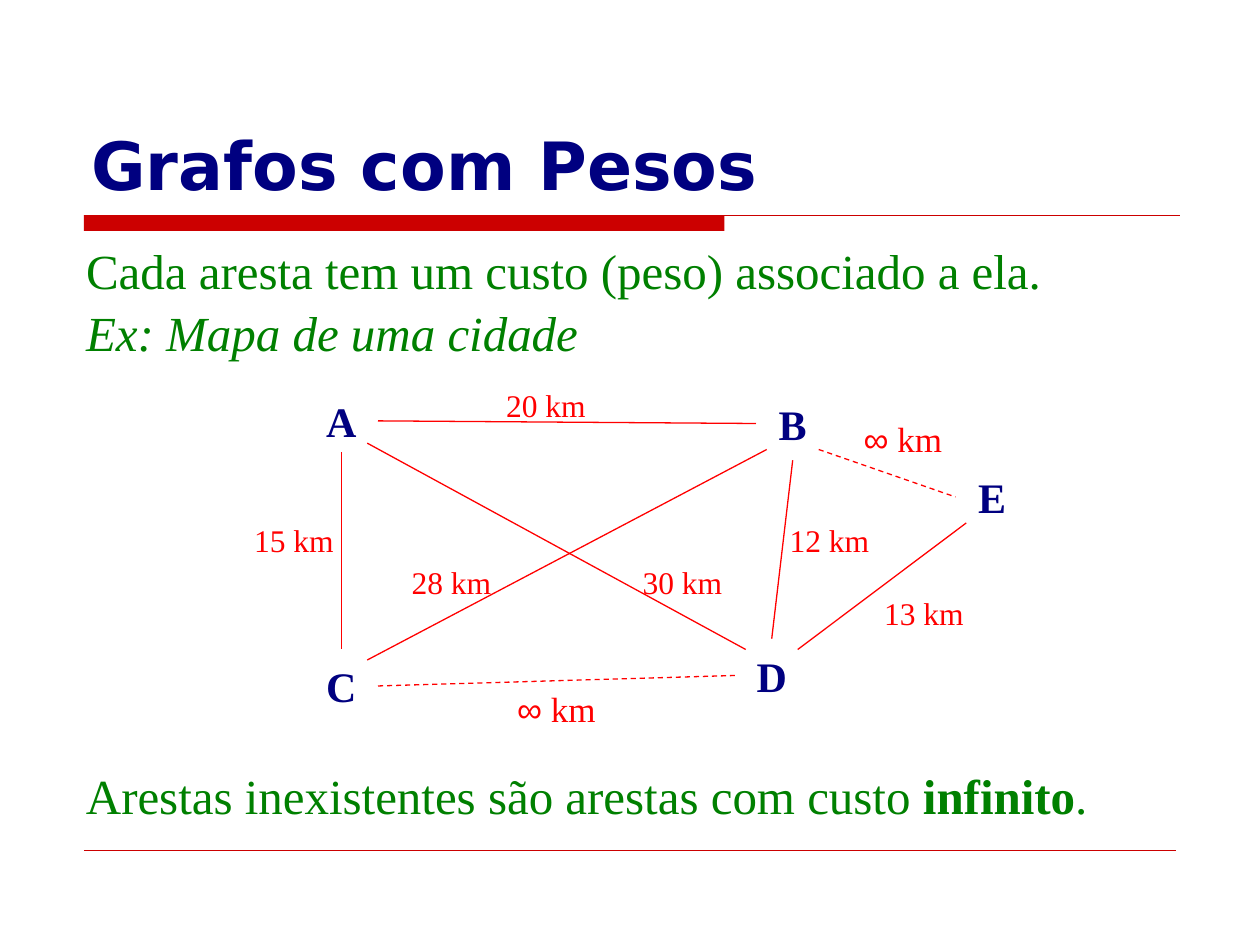
import math

import pptx
import pptx.dml.color
import pptx.enum.dml
import pptx.enum.shapes
import pptx.enum.text
import pptx.oxml
import pptx.oxml.ns
import pptx.util

Pt = pptx.util.Pt
ALIGN = pptx.enum.text.PP_ALIGN
ANCHOR = pptx.enum.text.MSO_ANCHOR
SHAPES = pptx.enum.shapes.MSO_SHAPE

COLORS = {"navy": "000080", "green": "008000", "red": "FF0000", "rule": "CC0000"}
SERIF = "Times New Roman"

# Vertices: left, top, width, height in points
NODES = {
    "A": (174, 222.5, 42, 36),
    "B": (432, 221, 42, 42),
    "C": (174, 371, 42, 42),
    "D": (420, 365, 42, 42),
    "E": (546, 263, 42, 42),
}

# Edges: vertex and direction in degrees at each end (0 = right, 90 = down),
# whether the edge exists, cost, and left and top of the cost label
EDGES = [
    ("A", 0, "B", 180, True, "20", 276, 216),
    ("A", 90, "C", -90, True, "15", 132, 293),
    ("B", 90, "D", -90, True, "12", 438, 293),
    ("D", -45, "E", 135, True, "13", 492, 335),
    ("A", 45, "D", -135, True, "30", 354, 317),
    ("B", 135, "C", -45, True, "28", 222, 317),
    ("C", 0, "D", 180, False, "∞", 282, 388),
    ("B", 45, "E", 180, False, "∞", 480, 234),
]


def rgb(name):
    return pptx.dml.color.RGBColor.from_string(COLORS[name])


def place(shape, left, top, width, height):
    shape.left, shape.top = Pt(left), Pt(top)
    shape.width, shape.height = Pt(width), Pt(height)


def style_run(run, size, color, font=SERIF, bold=False, italic=False):
    run.font.name = font
    run.font.size = Pt(size)
    run.font.color.rgb = rgb(color)
    run.font.bold = bold
    run.font.italic = italic


def add_line(slide, start, end, color, width, dashed=False):
    line = slide.shapes.add_connector(
        pptx.enum.shapes.MSO_CONNECTOR.STRAIGHT, *(Pt(v) for v in (*start, *end)))
    line.line.color.rgb = rgb(color)
    line.line.width = Pt(width)
    if dashed:
        line.line.dash_style = pptx.enum.dml.MSO_LINE.DASH
    properties = line._element.spPr
    properties.append(pptx.oxml.parse_xml(
        "<a:effectLst %s/>" % pptx.oxml.ns.nsdecls("a")))


def add_text(slide, box, parts, size, color, align=ALIGN.LEFT):
    """Add a one-line text box; parts are (text, run options) pairs."""
    shape = slide.shapes.add_textbox(*(Pt(v) for v in box))
    shape.text_frame.word_wrap = True
    paragraph = shape.text_frame.paragraphs[0]
    paragraph.alignment = align
    paragraph.line_spacing = 1.05
    for text, options in parts:
        run = paragraph.add_run()
        run.text = text
        style_run(run, size, color, **options)


def add_node(slide, name):
    shape = slide.shapes.add_shape(SHAPES.OVAL, *(Pt(v) for v in NODES[name]))
    shape.shadow.inherit = False
    shape.fill.background()
    shape.line.fill.background()
    frame = shape.text_frame
    frame.word_wrap = False
    frame.vertical_anchor = ANCHOR.MIDDLE
    frame.text = name
    frame.paragraphs[0].alignment = ALIGN.CENTER
    style_run(frame.paragraphs[0].runs[0], 24, "navy", bold=True)


def node_border(name, degrees):
    left, top, width, height = NODES[name]
    angle = math.radians(degrees)
    return (left + width / 2 * (1 + math.cos(angle)),
            top + height / 2 * (1 + math.sin(angle)))


def add_edge(slide, first, first_angle, second, second_angle, exists, cost, left, top):
    add_line(slide, node_border(first, first_angle),
             node_border(second, second_angle), "red", 0.75, dashed=not exists)
    if exists:
        parts, size, height = [(cost + " km", {})], 18, 29
    else:
        parts, size, height = [(cost, {"font": "Arial"}), (" km", {})], 20, 32
    add_text(slide, (left, top, 72, height), parts, size, "red", ALIGN.CENTER)


def add_rules(slide):
    bar = slide.shapes.add_shape(SHAPES.RECTANGLE, Pt(48), Pt(123), Pt(366), Pt(9))
    bar.shadow.inherit = False
    bar.fill.solid()
    bar.fill.fore_color.rgb = rgb("rule")
    bar.line.fill.background()
    add_line(slide, (48, 123), (674.5, 123), "rule", 0.75)
    add_line(slide, (48, 486), (672, 486), "rule", 0.25)


def fill_title(slide):
    title = slide.shapes.title
    place(title, 45, 24, 630, 96)
    frame = title.text_frame
    frame.vertical_anchor = ANCHOR.BOTTOM
    frame.text = "Grafos com Pesos"
    frame.paragraphs[0].alignment = ALIGN.LEFT
    style_run(frame.paragraphs[0].runs[0], 38, "navy", "DejaVu Sans", bold=True)


def fill_body(slide):
    body = slide.placeholders[1]
    place(body, 42, 132, 636, 75)
    paragraph = body.text_frame.paragraphs[0]
    paragraph.text = ("Cada aresta tem um custo (peso) associado a ela."
                      "\vEx: Mapa de uma cidade")
    paragraph.space_before = Pt(0)
    paragraph.line_spacing = 1.05
    # No bullet and no hanging indent
    properties = paragraph._p.get_or_add_pPr()
    properties.set("marL", "0")
    properties.set("indent", "0")
    properties.append(pptx.oxml.parse_xml(
        "<a:buNone %s/>" % pptx.oxml.ns.nsdecls("a")))
    statement, example = paragraph.runs
    style_run(statement, 28, "green")
    style_run(example, 28, "green", italic=True)


def main():
    presentation = pptx.Presentation()
    presentation.slide_width, presentation.slide_height = Pt(720), Pt(540)
    slide = presentation.slides.add_slide(presentation.slide_layouts[1])

    # Heading and introduction
    add_rules(slide)
    fill_title(slide)
    fill_body(slide)

    # Weighted graph
    for name in NODES:
        add_node(slide, name)
    for edge in EDGES:
        add_edge(slide, *edge)

    # Conclusion
    add_text(slide, (42, 432, 636, 41),
             [("Arestas inexistentes são arestas com custo ", {}),
              ("infinito", {"bold": True}), (".", {})], 28, "green")

    presentation.save("out.pptx")


if __name__ == "__main__":
    main()
